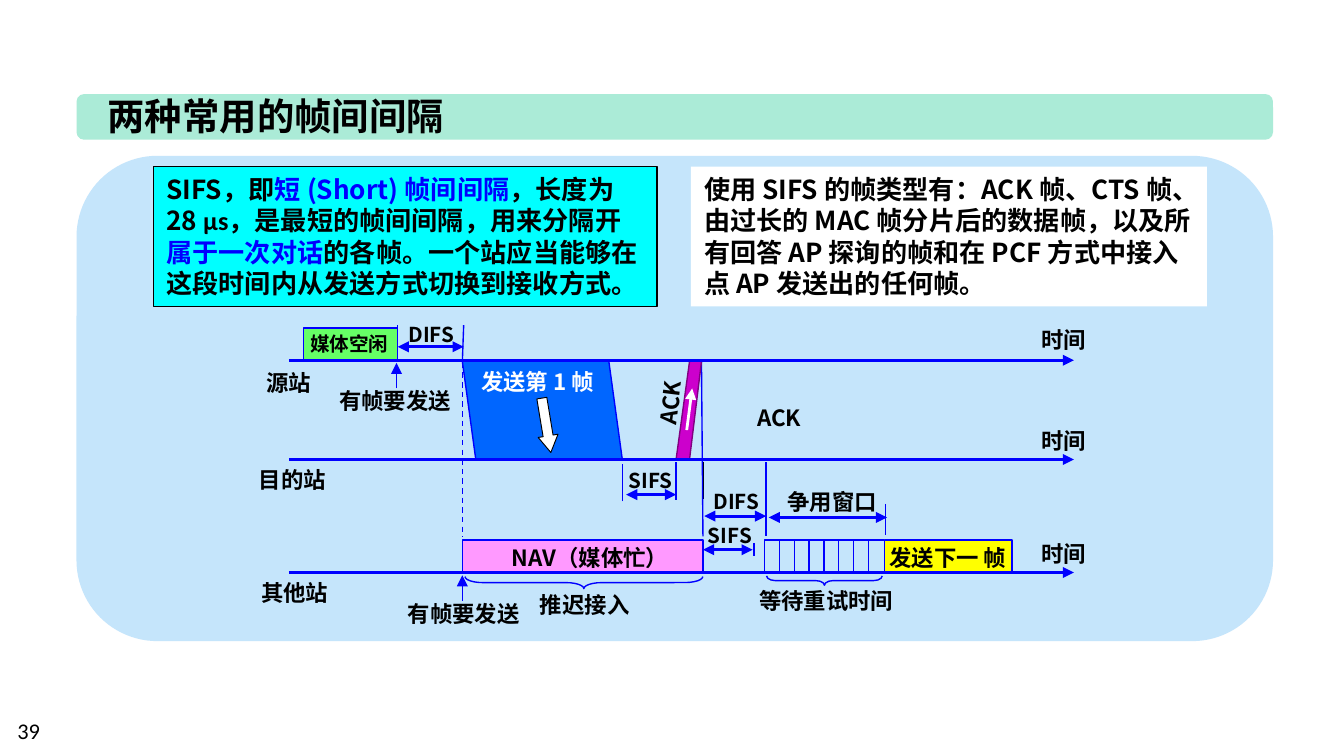
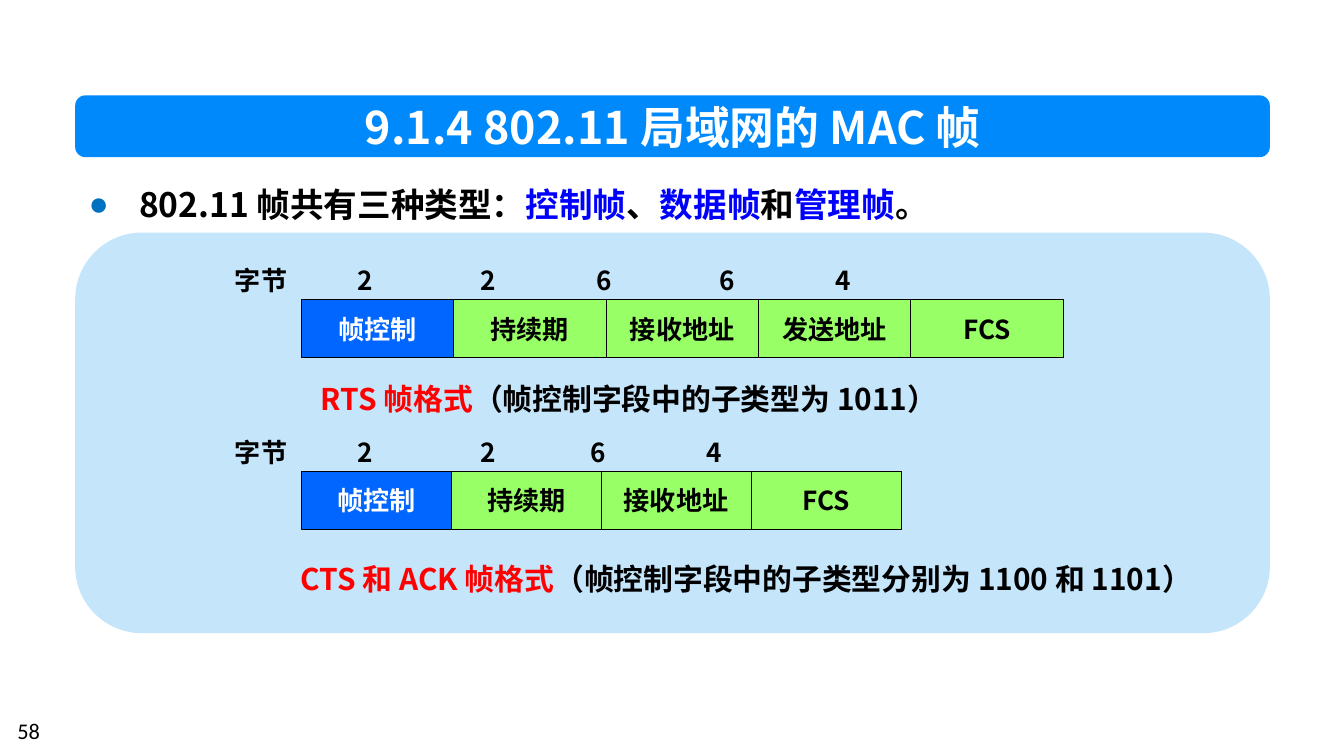
"""Builds two slides on 802.11 interframe spacing and MAC control frames."""
from lxml import etree
from pptx import Presentation
from pptx.dml.color import RGBColor
from pptx.enum.dml import MSO_LINE
from pptx.enum.shapes import MSO_CONNECTOR, MSO_SHAPE
from pptx.enum.text import MSO_ANCHOR, MSO_AUTO_SIZE, PP_ALIGN
from pptx.oxml.ns import qn
from pptx.util import Pt

LEFT, CENTER = PP_ALIGN.LEFT, PP_ALIGN.CENTER
TOP, MIDDLE = MSO_ANCHOR.TOP, MSO_ANCHOR.MIDDLE
GROW, FIXED = MSO_AUTO_SIZE.SHAPE_TO_FIT_TEXT, MSO_AUTO_SIZE.NONE
RECTANGLE, ROUNDED = MSO_SHAPE.RECTANGLE, MSO_SHAPE.ROUNDED_RECTANGLE
BRACE, DOWN_ARROW = MSO_SHAPE.LEFT_BRACE, MSO_SHAPE.DOWN_ARROW
STRAIGHT, DASH = MSO_CONNECTOR.STRAIGHT, MSO_LINE.DASH
FONT, NUMBER_FONT = "Noto Sans CJK SC", "Calibri"
COLORS = {
    "black": "000000", "white": "FFFFFF", "blue": "0000FF", "red": "FF0000",
    "panel": "C5E5FB", "mint": "ABEBD7", "banner": "0089FA", "bullet": "0070C0",
    "frame": "0066FF", "field": "99FF66", "idle": "66FF66", "nav": "FF99FF",
    "next": "FFFF00", "ack": "CC00CC", "edge": "800080", "cyan": "00FFFF",
}
COLORS = {name: RGBColor.from_string(value) for name, value in COLORS.items()}


def add_box(page, area, runs=(), preset=None, holder=None, fill=None, line=None,
            width=0.75, size=12, bold=True, align=LEFT, rotation=0, **frame_format):
    """Place a text box, preset shape or placeholder, style it and write its runs."""
    area = [Pt(length) for length in area]
    if holder is not None:
        box = holder
        box.left, box.top, box.width, box.height = area
    elif preset is None:
        box = page.shapes.add_textbox(*area)
    else:
        box = page.shapes.add_shape(preset, *area)
        box.shadow.inherit = False
        box.fill.background()
        box.line.fill.background()
    box.rotation = rotation
    if fill:
        box.fill.solid()
        box.fill.fore_color.rgb = COLORS[fill]
    if line:
        box.line.color.rgb = COLORS[line]
        box.line.width = Pt(width)
    if not runs:
        return box
    values = {"word_wrap": False, "auto_size": GROW, "vertical_anchor": TOP}
    for name, value in (values | frame_format).items():
        setattr(box.text_frame, name, value)
    para = box.text_frame.paragraphs[0]
    para.alignment = align
    for text, color, *font in runs:
        span = para.add_run()
        span.text = text
        span.font.color.rgb = COLORS[color]
        values = {"size": Pt(size), "bold": bold, "name": font[0] if font else FONT}
        for name, value in values.items():
            setattr(span.font, name, value)
        etree.SubElement(span.font._element, qn("a:ea"), typeface=FONT)
    return box


def add_line(page, points, color="blue", width=0.75, heads=(), dash=None):
    """Draw a straight line, with a triangle at each end named in heads."""
    line = page.shapes.add_connector(STRAIGHT, *[Pt(value) for value in points])
    line.line.color.rgb = COLORS[color]
    line.line.width = Pt(width)
    if dash:
        line.line.dash_style = dash
    for end in heads:
        etree.SubElement(line.line._get_or_add_ln(), qn(f"a:{end}"), type="triangle")
    etree.SubElement(line._element.spPr, qn("a:effectLst"))


deck = Presentation()
deck.slide_width, deck.slide_height = Pt(720), Pt(405)

designs = [
    (5, "39", "两种常用的帧间间隔", (50.4, 46.1, 202.3, 31.7), 20, "black", LEFT,
     (41, 50.4, 641, 24.5), "mint", (41, 83.5, 641, 260)),
    (1, "58", "9.1.4 802.11 局域网的 MAC 帧", (175, 49.7, 370.8, 36), 24, "white", CENTER,
     (40.3, 51.1, 640, 33.1), "banner", (40.3, 124.6, 640, 214.6)),
]
pages = []
for layout, number, title, area, size, color, align, band_area, band_fill, panel_area in designs:
    page = deck.slides.add_slide(deck.slide_layouts[layout])
    panel = add_box(page, panel_area, preset=ROUNDED, fill="panel")
    band = add_box(page, band_area, preset=ROUNDED, fill=band_fill)
    for shape in (band, panel):
        page.shapes._spTree.insert(2, shape._element)
    add_box(page, area, [(title, color)], holder=page.shapes.title, size=size, align=align)
    add_box(page, (2.2, 380.9, 167.8, 21.6), [(number, "black", NUMBER_FONT)],
            bold=False, word_wrap=True, auto_size=FIXED)
    pages.append(page)
timing, formats = pages

outlines = [
    ([(247.7, 193.7), (254.9, 246.2), (333.4, 246.2), (326.2, 193.7)], True, "frame", None),
    ([(369.4, 193.7), (362.2, 246.2), (369.4, 246.2), (375.8, 193.7)], True, "ack", None),
    ([(162.7, 193), (162.7, 175.7), (213.1, 175.7), (213.1, 193)], False, "idle", "blue"),
    ([(247.7, 306.7), (247.7, 289.4), (376.6, 289.4), (376.6, 306.7)], False, "nav", "blue"),
    ([(473.8, 306.7), (473.8, 289.4), (542.2, 289.4), (542.2, 306.7)], False, "next", "blue"),
    ([(409.7, 306.7), (409.7, 289.4), (473.8, 289.4)], False, None, "blue"),
]
for points, closed, fill, line in outlines:
    points = [(Pt(x), Pt(y)) for x, y in points]
    builder = timing.shapes.build_freeform(*points[0])
    builder.add_line_segments(points[1:], close=closed)
    block = builder.convert_to_shape()
    block.shadow.inherit = False
    block.fill.background()
    block.line.fill.background()
    if fill:
        block.fill.solid()
        block.fill.fore_color.rgb = COLORS[fill]
    if line:
        block.line.color.rgb = COLORS[line]
        block.line.width = Pt(0.75)

add_line(timing, (376.6, 267.1, 376.6, 247.7), "black")
for points in [
    (213.1, 174.2, 213.1, 183.6), (247.7, 193.7, 248.4, 174.2),
    (333.4, 268.6, 333.4, 248.4), (410.4, 247.7, 410.4, 287.3),
    (474.5, 270, 474.5, 286.6), (362.2, 247.7, 362.2, 267.8),
    (375.8, 193.7, 376.6, 287.3), (403.9, 290.9, 403.9, 298.1),
    (247.7, 193.7, 254.9, 246.2), (326.2, 193.7, 333.4, 246.2),
]:
    add_line(timing, points)
for slot in range(7):
    x = 417.6 + 7.92 * slot
    add_line(timing, (x, 289.4, x, 306.7))
for points in [(375.8, 193.7, 369.4, 246.2), (369.4, 193.7, 362.2, 246.2)]:
    add_line(timing, points, "edge")
add_line(timing, (247.7, 194.4, 247.7, 287.3), dash=DASH)
for y in (193, 246.2, 306.7):
    add_line(timing, (154.8, y, 575.3, y), width=1.5, heads=["tailEnd"])
for start, end, y in [(213.1, 248.4, 185.8), (377.3, 410.4, 276.5), (411.8, 475.2, 277.2),
                      (335.5, 362.2, 265), (376.6, 403.2, 294.5)]:
    add_line(timing, (start, y, end, y), width=1.5, heads=["headEnd", "tailEnd"])
for x, start, end in [(212.4, 208.1, 194.4), (247.7, 321.8, 308.2)]:
    add_line(timing, (x, start, x, end), heads=["tailEnd"])
add_line(timing, (367.9, 230.4, 370.8, 208.1), "white", 1.5, ["tailEnd"])

for area, curve in [((309.6, 248.4, 6.5, 127.4), 1.483), ((439.2, 280.1, 5, 61.9), 0.924)]:
    brace = add_box(timing, area, preset=BRACE, line="blue", rotation=270)
    brace.adjustments[0] = curve
send_arrow = add_box(timing, (287.3, 213.1, 10.8, 29.5), preset=DOWN_ARROW,
                     fill="white", line="black", width=0.5, rotation=350.6)
send_arrow.adjustments[1] = 0.835

for text, left, top, width in [
    ("时间", 550.8, 171.4, 38.9), ("时间", 550.8, 225.4, 38.9), ("时间", 550.8, 285.8, 38.9),
    ("NAV（媒体忙）", 267.1, 288, 102.2), ("推迟接入", 282.2, 313.2, 63.4),
    ("等待重试时间", 399.6, 311, 87.1), ("争用窗口", 414.7, 257.8, 63.4),
    ("发送下一 帧", 469.4, 288, 78.5),
]:
    add_box(timing, (left, top, width, 21.6), [(text, "black")])
for text, left, top, width in [
    ("有帧要发送", 174.2, 203.8, 74.9), ("有帧要发送", 211, 318.2, 74.9),
    ("源站", 135.4, 194.4, 38.9), ("目的站", 131, 246.2, 51.1),
    ("其他站", 130.5, 306.7, 54.7), ("ACK", 397.4, 213.1, 40.3),
]:
    add_box(timing, (left, top, width, 21.6), [(text, "black")], align=CENTER)
for text, left, top in [("DIFS", 211.7, 169.2), ("DIFS", 375.1, 258.5),
                        ("SIFS", 329.8, 247), ("SIFS", 372.2, 276.5)]:
    add_box(timing, (left, top, 39, 20.9), [(text, "black")], size=11)
add_box(timing, (339.1, 203.8, 40.3, 21.6), [("ACK", "black")], rotation=277.1)
add_box(timing, (250.6, 193.7, 77.8, 21.6), [("发送第 1 帧", "white")], word_wrap=True)
add_box(timing, (159.1, 174.2, 57.6, 20.2), [("媒体空闲", "black")], size=10.5, word_wrap=True)

sifs_meaning = [
    ("SIFS，即", "black"), ("短 (Short) 帧间间隔", "blue"), ("，长度为28", "black"),
    (" μs", "black", NUMBER_FONT), ("，是最短的帧间间隔，用来分隔开", "black"),
    ("属于一次对话", "blue"),
    ("的各帧。一个站应当能够在这段时间内从发送方式切换到接收方式。", "black"),
]
sifs_users = [("使用 SIFS 的帧类型有：ACK 帧、CTS 帧、由过长的 MAC 帧分片后的数据帧，"
               "以及所有回答 AP 探询的帧和在 PCF 方式中接入点 AP 发送出的任何帧。", "black")]
for left, width, runs, fill, line in [(82.1, 270, sifs_meaning, "cyan", "black"),
                                      (370.1, 276.5, sifs_users, "white", None)]:
    add_box(timing, (left, 89.3, width, 74.9), runs, preset=RECTANGLE, fill=fill,
            line=line, size=14, word_wrap=True)

types = [("802.11 帧共有三种类型：", "black"), ("控制帧", "blue"), ("、", "black"),
         ("数据帧", "blue"), ("和", "black"), ("管理帧", "blue"), ("。", "black")]
body = add_box(formats, (40.3, 89.3, 651.6, 32.4), types, holder=formats.placeholders[1],
               size=18, word_wrap=True)
para = body.text_frame.paragraphs[0]
para.line_spacing, para.space_before = Pt(27), Pt(0)
properties = para._p.get_or_add_pPr()
properties.set("marL", str(Pt(27)))
properties.set("indent", str(Pt(-27)))
bullet_color = etree.SubElement(properties, qn("a:buClr"))
etree.SubElement(bullet_color, qn("a:srgbClr"), val=str(COLORS["bullet"]))
etree.SubElement(properties, qn("a:buChar"), char="●")

frames = [
    (["帧控制", "持续期", "接收地址", "发送地址", "FCS"], 81.6, 160.6,
     ["2", "2", "6", "6", "4"], [70, 135.5, 198, 263.5, 326], 138.2, 450.7,
     "RTS 帧格式", "（帧控制字段中的子类型为 1011）", (164.9, 200.2, 376.6, 26.6)),
    (["帧控制", "持续期", "接收地址", "FCS"], 80.3, 252.7,
     ["2", "2", "6", "4"], [70, 135.5, 194.5, 256.5], 230.4, 341.3,
     "CTS 和 ACK 帧格式", "（帧控制字段中的子类型分别为 1100 和 1101）",
     (154.1, 296.6, 493.9, 26.6)),
]
for fields, step, top, lengths, stops, lengths_top, width, name, detail, area in frames:
    for column, field in enumerate(fields):
        fill, color = ("field", "black") if column else ("frame", "white")
        add_box(formats, (161.5 + step * column, top, step, 30.8), [(field, color)],
                preset=RECTANGLE, fill=fill, line="black", width=0.5, size=14,
                align=CENTER, vertical_anchor=MIDDLE, auto_size=FIXED)
    row = add_box(formats, (118.8, lengths_top, width, 24.2),
                  [("\t".join(["字节"] + lengths), "black")], size=14, word_wrap=True)
    properties = row.text_frame.paragraphs[0]._p.get_or_add_pPr()
    tabs = etree.SubElement(properties, qn("a:tabLst"))
    for stop in stops:
        etree.SubElement(tabs, qn("a:tab"), pos=str(Pt(stop)), algn="ctr")
    add_box(formats, area, [(name, "red"), (detail, "black")], size=16, word_wrap=True)

deck.save("out.pptx")
